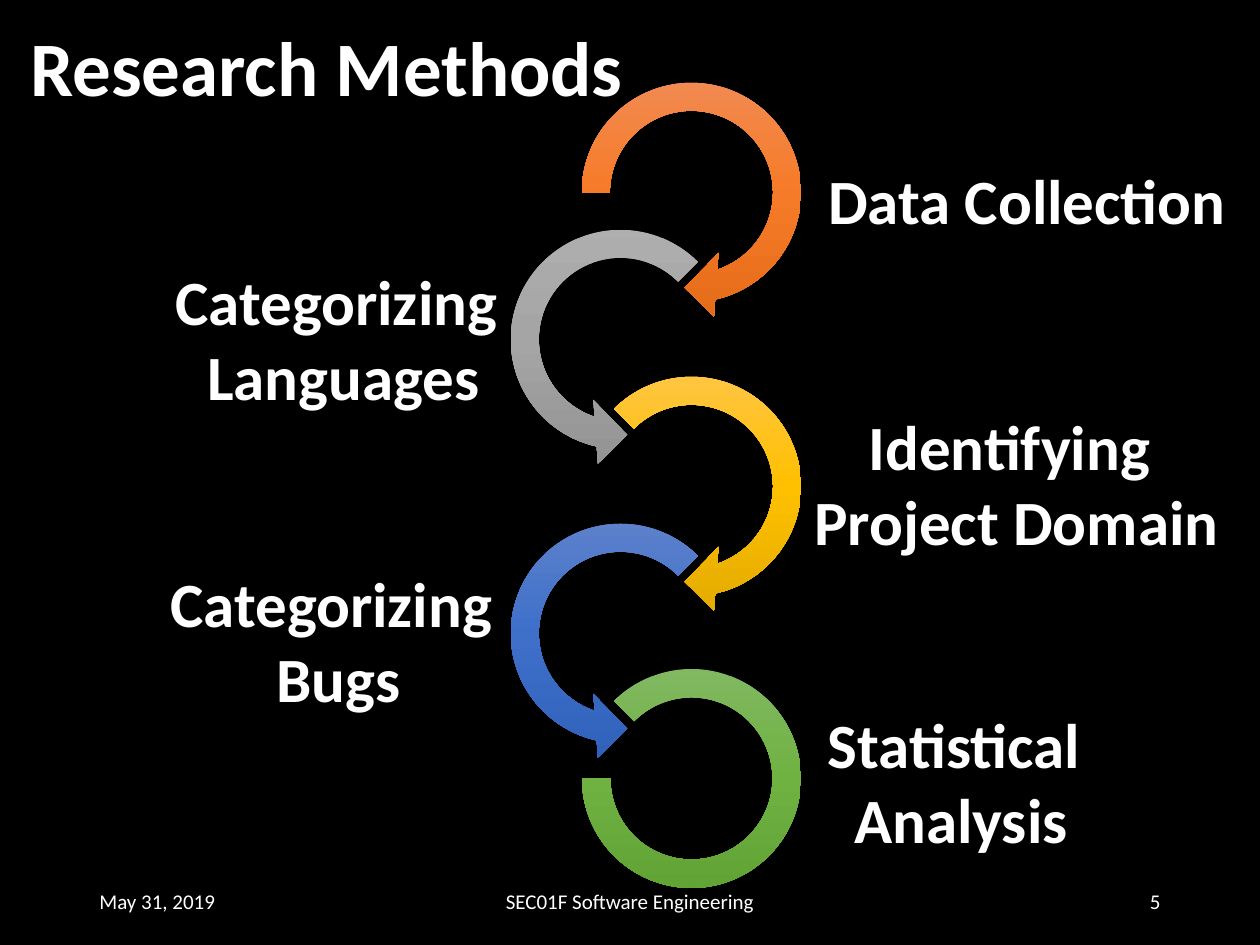
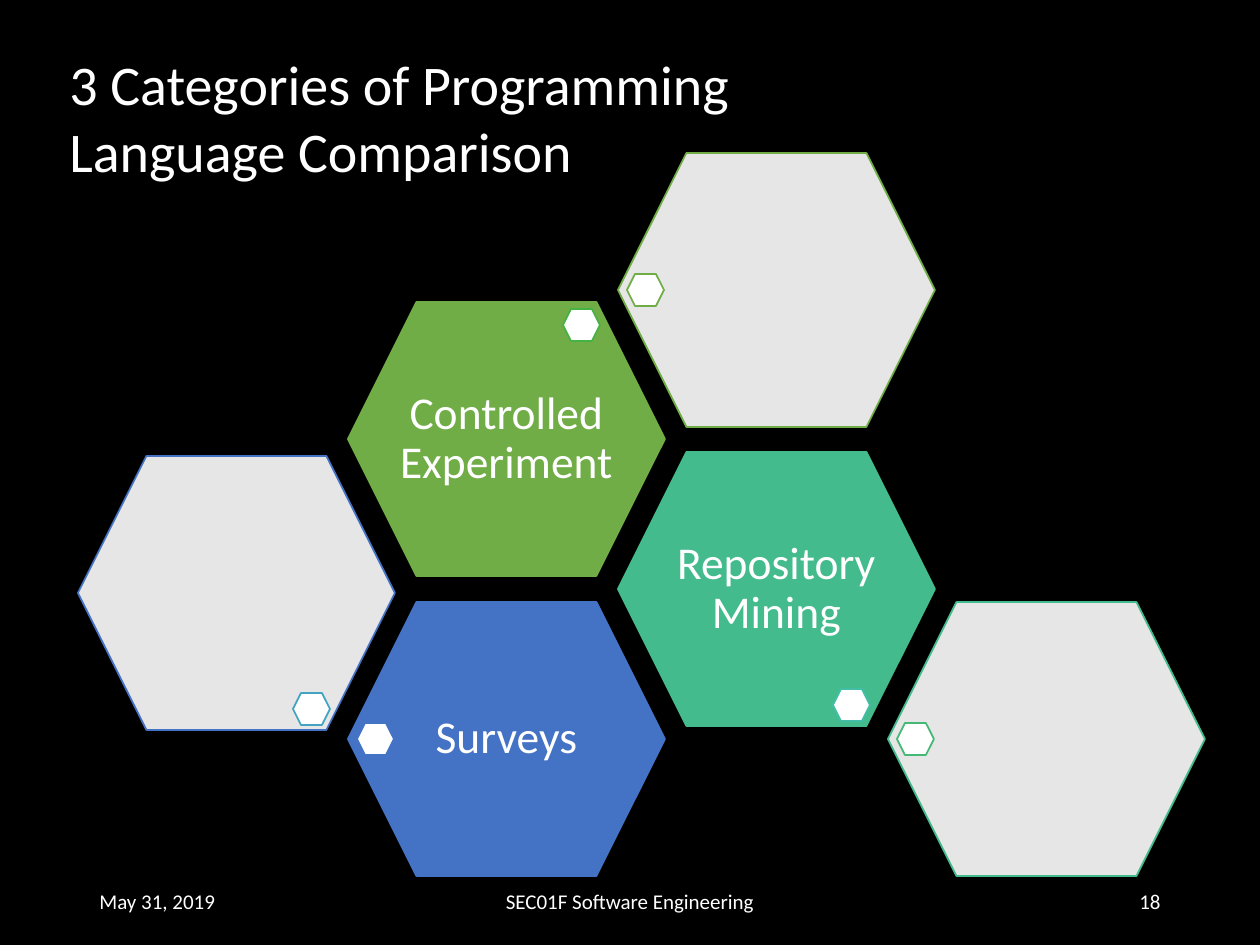
from copy import deepcopy
from dataclasses import dataclass

from lxml.etree import SubElement
from pptx import Presentation
from pptx.dml.color import RGBColor as RGB
from pptx.enum.shapes import MSO_SHAPE as SHAPE
from pptx.enum.text import MSO_ANCHOR as ANCHOR, MSO_AUTO_SIZE as AUTO, PP_ALIGN as ALIGN
from pptx.oxml.ns import qn
from pptx.util import Inches, Pt

PX = Inches(1) / 126


@dataclass(frozen=True)
class Theme:
    font: str = "Calibri"
    black: str = "000000"
    white: str = "FFFFFF"
    blue: str = "4472C4"
    teal: str = "43BB8D"
    green: str = "70AD47"
    orange_ramp: tuple = ("F18C57", "F67B28", "E56C19")
    gray_ramp: tuple = ("AFAFAF", "A5A5A5", "939393")
    gold_ramp: tuple = ("FFC64B", "FFC000", "E3AB00")
    blue_ramp: tuple = ("6183CB", "3E70CA", "3062BB")
    green_ramp: tuple = ("81B861", "6FB242", "62A336")
    title: int = 44
    step: int = 36
    heading: int = 32
    label: int = 26
    footer: int = 12


class Deck:
    def __init__(self, theme):
        self.theme = theme
        self.prs = Presentation()
        self.prs.slide_width, self.prs.slide_height = self.emu(1260, 945)
        self.s = None

    @staticmethod
    def emu(*lengths):
        return [round(n * PX) for n in lengths]

    def slide(self, number):
        t = self.theme
        self.s = self.prs.slides.add_slide(self.prs.slide_layouts[6])
        fill = self.s.background.fill
        fill.solid()
        fill.fore_color.rgb = RGB.from_string(t.black)
        for text, x, w, align in (
            ("May 31, 2019", 87, 283, ALIGN.LEFT),
            ("SEC01F Software Engineering", 417, 426, ALIGN.CENTER),
            (str(number), 890, 283, ALIGN.RIGHT),
        ):
            sp = self.text(text, (x, 876, w, 50), t.footer, align)
            sp.text_frame.vertical_anchor = ANCHOR.MIDDLE

    def style_text(self, tf, text, size, align, bold=False):
        tf.text = text
        for p in tf.paragraphs:
            p.alignment = align
            for r in p.runs:
                r.font.name = self.theme.font
                r.font.size = Pt(size)
                r.font.bold = bold
                r.font.color.rgb = RGB.from_string(self.theme.white)

    def text(self, text, box, size, align=ALIGN.LEFT, bold=False, wrap=True, grow=False):
        sp = self.s.shapes.add_textbox(*self.emu(*box))
        tf = sp.text_frame
        self.style_text(tf, text, size, align, bold)
        tf.word_wrap = wrap
        tf.auto_size = AUTO.SHAPE_TO_FIT_TEXT if grow else AUTO.NONE
        return sp

    def ring(self, kind, box, ramp, adjustments):
        sp = self.s.shapes.add_shape(kind, *self.emu(*box))
        sp.shadow.inherit = False
        sp.line.fill.background()
        for i, value in enumerate(adjustments):
            sp.adjustments[i] = value
        sp.fill.gradient()
        sp.fill.gradient_angle = 270
        stops = sp.element.spPr.find(qn("a:gradFill")).find(qn("a:gsLst"))
        stops.append(deepcopy(stops[0]))
        for stop, position, color in zip(sp.fill.gradient_stops, (0, 0.5, 1), ramp):
            stop.position = position
            stop.color.rgb = RGB.from_string(color)

    def hexagon(self, box, fill, line, text="", opacity=100):
        sp = self.s.shapes.add_shape(SHAPE.HEXAGON, *self.emu(*box))
        sp.shadow.inherit = False
        sp.fill.solid()
        sp.fill.fore_color.rgb = RGB.from_string(fill)
        sp.line.color.rgb = RGB.from_string(line)
        sp.line.width = Pt(1)
        if opacity < 100:
            color = sp.element.spPr.find(qn("a:solidFill"))[0]
            SubElement(color, qn("a:alpha")).set("val", str(opacity * 1000))
        if text:
            tf = sp.text_frame
            self.style_text(tf, text, self.theme.label, ALIGN.CENTER)
            tf.word_wrap = True
            tf.vertical_anchor = ANCHOR.MIDDLE
            tf.margin_left = tf.margin_right = 0
            tf.paragraphs[0].line_spacing = 0.9


def research_methods(deck):
    t = deck.theme
    deck.slide(5)
    right_x, left_x, top, pitch, size = 564, 493, 65, 147, 255
    right, left = SHAPE.CIRCULAR_ARROW, SHAPE.LEFT_CIRCULAR_ARROW
    arrows = (
        (right, right_x, t.orange_ramp, 45, 108),
        (left, left_x, t.gray_ramp, 63, 189),
        (right, right_x, t.gold_ramp, 45, 135),
        (left, left_x, t.blue_ramp, 63, 189),
    )
    for i, (kind, x, ramp, end, start) in enumerate(arrows):
        deck.ring(kind, (x, top + i * pitch, size, size), ramp,
                  (0.11, 11.42, end, start, 0.125))
    deck.ring(SHAPE.BLOCK_ARC, (582, 669, 219, 219), t.green_ramp, (135, 108, 0.13))

    for text, box in (
        ("Data Collection", (813, 155, 428, 89)),
        ("Categorizing \nLanguages", (161, 256, 365, 165)),
        ("Identifying \nProject Domain", (799, 401, 435, 165)),
        ("Categorizing \nBugs", (156, 558, 365, 165)),
        ("Statistical \nAnalysis", (813, 699, 296, 165)),
    ):
        deck.text(text, box, t.step, ALIGN.CENTER, bold=True, wrap=False, grow=True)
    deck.text("Research Methods", (18, 13, 624, 106), t.title,
              bold=True, wrap=False, grow=True)


def comparison_categories(deck):
    t = deck.theme
    deck.slide(18)
    deck.text("3 Categories of Programming Language Comparison",
              (57, 43, 816, 149), t.heading, grow=True)
    at_left, at_top, at_bottom = (9, 121), (215, 7), (215, 237)
    cells = (
        (1, 602, "Surveys", t.blue, at_left, t.blue),
        (0, 456, "", t.blue, at_bottom, "44A3C0"),
        (2, 452, "Repository Mining", t.teal, at_bottom, "43BDA7"),
        (3, 602, "", t.teal, at_left, "44B874"),
        (1, 302, "Controlled Experiment", t.green, at_top, "46B246"),
        (2, 153, "", t.green, at_left, t.green),
    )
    for column, y, text, color, (dx, dy), dot_line in cells:
        x = 78 + column * 270
        deck.hexagon((x, y, 317, 274), color if text else t.white, color, text,
                     100 if text else 90)
        deck.hexagon((x + dx, y + dy, 37, 32), t.white, dot_line)


def main():
    deck = Deck(Theme())
    research_methods(deck)
    comparison_categories(deck)
    deck.prs.save("out.pptx")


if __name__ == "__main__":
    main()
